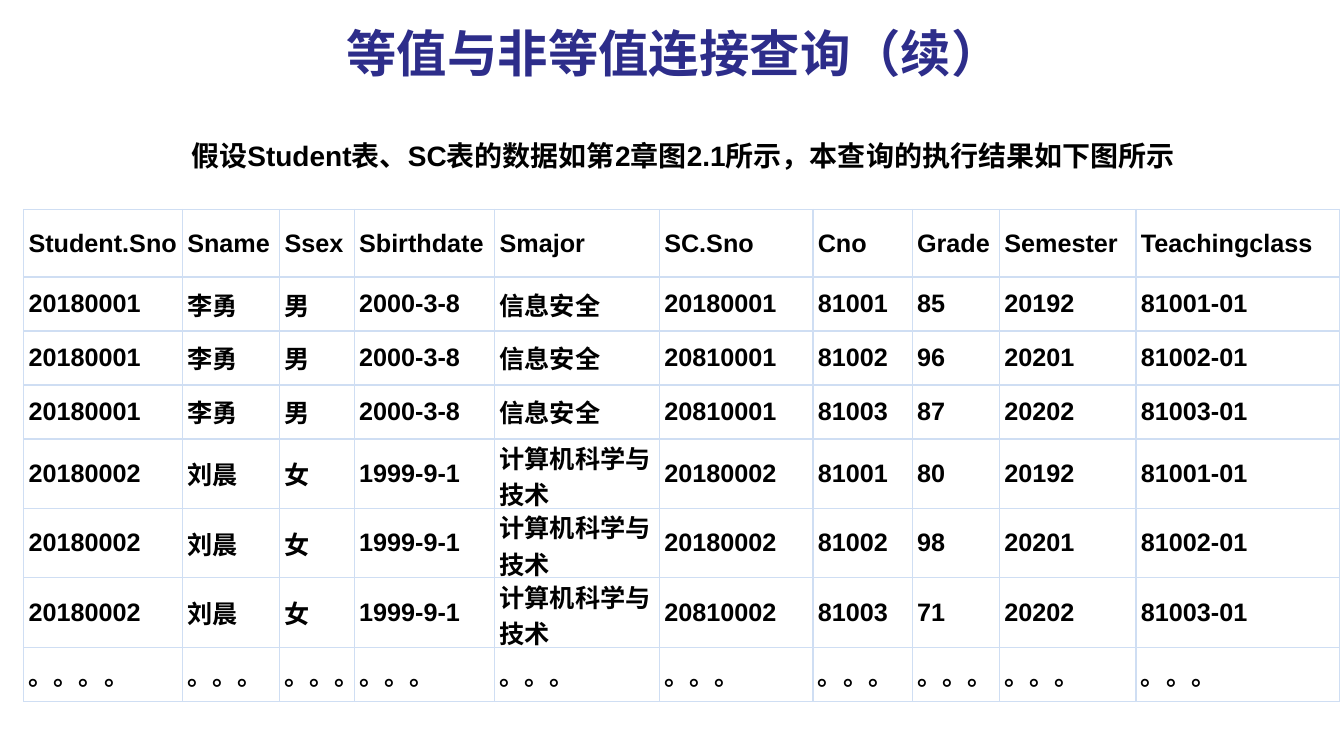
import pptx
import pptx.util
import pptx.dml.color
import pptx.enum.shapes
import pptx.enum.text
import pptx.oxml
import pptx.oxml.ns
from pptx.util import Cm

COLOURS = {"title": "2D2D8A", "text": "000000", "paper": "FFFFFF", "grid": "CFDEF3"}
ALIGN = pptx.enum.text.PP_ALIGN
MIDDLE = pptx.enum.text.MSO_ANCHOR.MIDDLE


def write(frame, text, size=18, colour="text", align=ALIGN.LEFT, spacing=None):
    para = frame.paragraphs[0]
    para.alignment = align
    para.line_spacing = spacing
    span = para.add_run()
    span.text = text
    span.font.size = pptx.util.Pt(size)
    span.font.name = "Arial"
    span.font.bold = True
    span.font.color.rgb = pptx.dml.color.RGBColor.from_string(COLOURS[colour])
    return para


deck = pptx.Presentation()
deck.slide_width, deck.slide_height = Cm(33.87), Cm(19.05)
slide = deck.slides.add_slide(deck.slide_layouts[6])

# Title
title = slide.shapes.add_textbox(Cm(6.73), Cm(0.53), Cm(20.52), Cm(1.57))
title.text_frame.word_wrap = True
title.text_frame.vertical_anchor = MIDDLE
write(title.text_frame, "等值与非等值连接查询（续）", size=36, colour="title", align=ALIGN.CENTER)

# Introduction
intro = slide.shapes.add_shape(pptx.enum.shapes.MSO_SHAPE.RECTANGLE,
                               Cm(2.84), Cm(3.5), Cm(27.05), Cm(1.12))
intro.shadow.inherit = False
intro.fill.solid()
intro.fill.fore_color.rgb = pptx.dml.color.RGBColor.from_string(COLOURS["paper"])
intro.line.fill.background()
intro.text_frame.word_wrap = True
intro.text_frame.vertical_anchor = pptx.enum.text.MSO_ANCHOR.TOP
para = write(intro.text_frame, "假设Student表、SC表的数据如第2章图2.1所示，本查询的执行结果如下图所示",
             size=20, align=ALIGN.JUSTIFY, spacing=0.83)
properties = para._p.get_or_add_pPr()
properties.set("marL", str(Cm(0.97)))
properties.set("indent", str(Cm(0.76)))

# Join result: each student's columns followed by each enrolment's columns
header = ["Student.Sno", "Sname", "Ssex", "Sbirthdate", "Smajor",
          "SC.Sno", "Cno", "Grade", "Semester", "Teachingclass"]
li_yong = ["20180001", "李勇", "男", "2000-3-8", "信息安全"]
liu_chen = ["20180002", "刘晨", "女", "1999-9-1", "计算机科学与技术"]
enrolments = [
    (li_yong, "20180001", "81001", "85", "20192"),
    (li_yong, "20810001", "81002", "96", "20201"),
    (li_yong, "20810001", "81003", "87", "20202"),
    (liu_chen, "20180002", "81001", "80", "20192"),
    (liu_chen, "20180002", "81002", "98", "20201"),
    (liu_chen, "20810002", "81003", "71", "20202"),
]
rows = [header]
for student, number, course, grade, semester in enrolments:
    rows.append(student + [number, course, grade, semester, course + "-01"])
rows.append(["。。。。"] + ["。。。"] * 9)

widths = [4, 2.45, 1.88, 3.54, 4.15, 3.87, 2.5, 2.2, 3.44, 5.13]
heights = [1.7] + [1.36] * 3 + [1.75] * 3 + [1.36]
table = slide.shapes.add_table(len(rows), len(widths), Cm(0.6), Cm(5.28),
                               Cm(sum(widths)), Cm(sum(heights))).table
table.first_row = table.horz_banding = False
for column, width in zip(table.columns, widths):
    column.width = Cm(width)
for row, height, texts in zip(table.rows, heights, rows):
    row.height = Cm(height)
    for cell, text in zip(row.cells, texts):
        cell.margin_left = cell.margin_right = Cm(0.12)
        cell.margin_top = cell.margin_bottom = 0
        cell.vertical_anchor = MIDDLE
        write(cell.text_frame, text)
        # Borders precede the fill in the cell properties
        for side in ("lnL", "lnR", "lnT", "lnB"):
            cell._tc.get_or_add_tcPr().append(pptx.oxml.parse_xml(
                f'<a:{side} {pptx.oxml.ns.nsdecls("a")} w="12700"><a:solidFill>'
                f'<a:srgbClr val="{COLOURS["grid"]}"/></a:solidFill></a:{side}>'))
        cell.fill.background()

deck.save("out.pptx")
